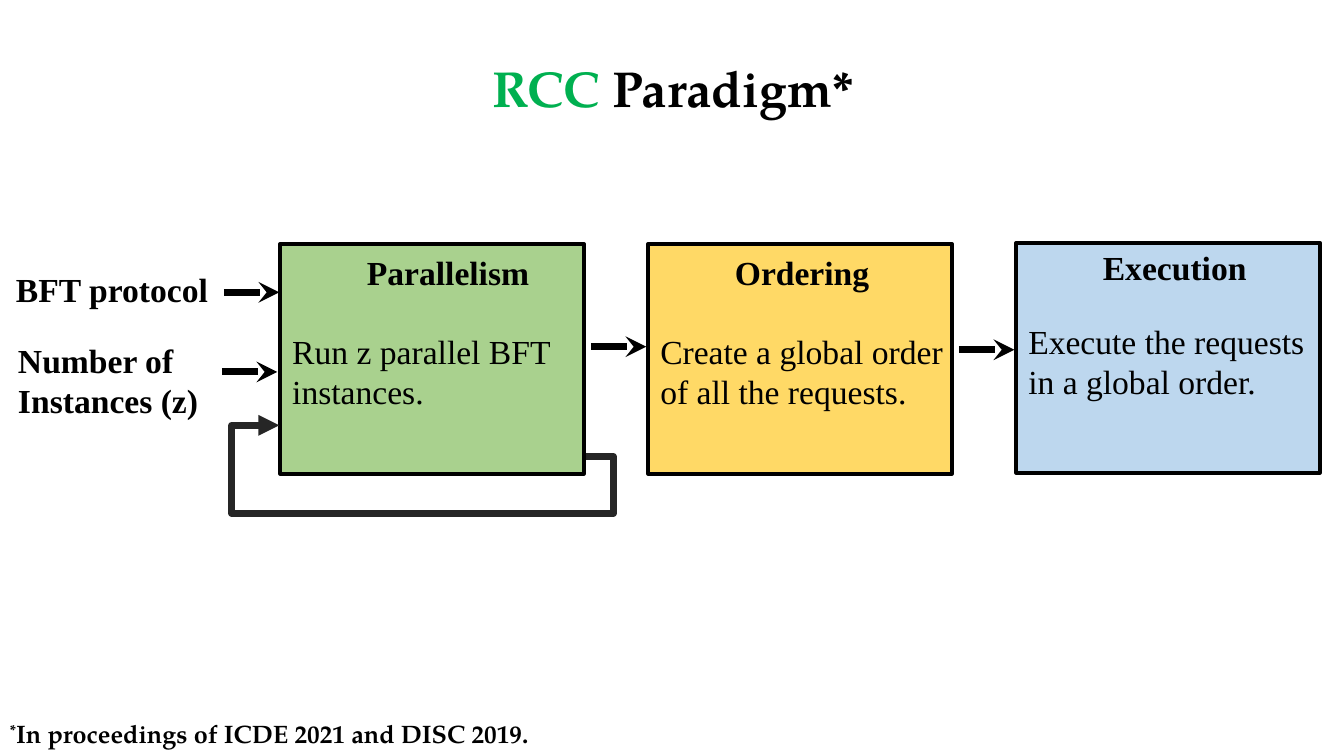
from dataclasses import dataclass

from lxml import etree
from pptx import Presentation
from pptx import util as u
from pptx.dml.color import RGBColor
from pptx.enum import shapes, text
from pptx.oxml.ns import qn


@dataclass(frozen=True)
class Theme:
    serif: str = "Times New Roman"
    display: str = "TeX Gyre Pagella"
    ink: str = "000000"
    accent: str = "00B050"
    loop: str = "262626"
    title: int = 36
    body: int = 24
    note: int = 18
    border: int = 3
    arrow: int = 5


T = Theme()
WIDTH, HEIGHT = 13.33, 7.5
STAGE_LEFT, STAGE_PITCH, STAGE_W, STAGE_H = 2.78, 3.65, 3.01, 2.28

# heading, heading width, body lines, body width, fill, top, heading offset, body offset
STAGES = [
    ("Parallelism", 1.83, "Run z parallel BFT\ninstances.", 2.93, "A9D18E", 2.42, 0.03, 0.81),
    ("Ordering", 1.55, "Create a global order\nof all the requests.", 3.11, "FFD966", 2.42, 0.03, 0.81),
    ("Execution", 1.64, "Execute the requests\nin a global order.", 3.05, "BDD7EE", 2.41, -0.01, 0.72),
]
# text, label box, arrow start
INPUTS = [
    ("BFT protocol", (0.06, 2.62, 2.12, 0.5), (2.22, 2.9)),
    ("Number of\nInstances (z)", (0.08, 3.32, 2.01, 0.91), (2.2, 3.69)),
]
STAGE_ARROWS = [(5.86, 3.44), (9.51, 3.47)]
ARROW_LENGTH = 0.55


def inches(*values):
    return [u.Inches(v) for v in values]


def style(r, size, font, bold=False, color=T.ink):
    r.font.size = u.Pt(size)
    r.font.name = font
    r.font.bold = bold
    r.font.color.rgb = RGBColor.from_string(color)


def add_label(s, words, box, bold=False):
    tf = s.shapes.add_textbox(*inches(*box)).text_frame
    tf.word_wrap = False
    tf.auto_size = text.MSO_AUTO_SIZE.SHAPE_TO_FIT_TEXT
    tf.text = words
    for p in tf.paragraphs:
        for r in p.runs:
            style(r, T.body, T.serif, bold)


def add_arrow(s, start, end, head="stealth", color=T.ink,
              kind=shapes.MSO_CONNECTOR.STRAIGHT):
    c = s.shapes.add_connector(kind, *inches(*start, *end))
    c.line.width = u.Pt(T.arrow)
    c.line.color.rgb = RGBColor.from_string(color)
    etree.SubElement(c.line._get_or_add_ln(), qn("a:tailEnd"), type=head)
    etree.SubElement(c._element.spPr, qn("a:effectLst"))
    return c


def add_title(s, box):
    sp = s.shapes.title
    sp.left, sp.top, sp.width, sp.height = inches(*box)
    tf = sp.text_frame
    tf.vertical_anchor = text.MSO_ANCHOR.MIDDLE
    p = tf.paragraphs[0]
    p.alignment = text.PP_ALIGN.CENTER
    p.line_spacing = 0.9
    for words, color in (("RCC", T.accent), (" Paradigm*", T.ink)):
        r = p.add_run()
        r.text = words
        style(r, T.title, T.display, True, color)


def add_stage(s, left, stage):
    heading, heading_w, body, body_w, fill, top, heading_dy, body_dy = stage
    sp = s.shapes.add_shape(shapes.MSO_SHAPE.RECTANGLE,
                            *inches(left, top, STAGE_W, STAGE_H))
    sp.shadow.inherit = False
    sp.fill.solid()
    sp.fill.fore_color.rgb = RGBColor.from_string(fill)
    sp.line.color.rgb = RGBColor.from_string(T.ink)
    sp.line.width = u.Pt(T.border)
    add_label(s, heading, (left + 0.76, top + heading_dy, heading_w, 0.5), True)
    add_label(s, body, (left + 0.02, top + body_dy, body_w, 0.91))


def add_loop(s, start, end):
    """Feedback arrow that leaves on the right, runs below the stage and re-enters on the left."""
    c = add_arrow(s, start, end, "triangle", T.loop, shapes.MSO_CONNECTOR.ELBOW)
    geom = c._element.spPr.find(qn("a:prstGeom"))
    geom.set("prst", "bentConnector5")
    guides = geom.find(qn("a:avLst"))
    for i, share in enumerate((-9000, -181500, 115500), 1):
        etree.SubElement(guides, qn("a:gd"), name=f"adj{i}", fmla=f"val {share}")


def add_footnote(s, box):
    tf = s.shapes.add_textbox(*inches(*box)).text_frame
    tf.word_wrap = True
    tf.vertical_anchor = text.MSO_ANCHOR.BOTTOM
    p = tf.paragraphs[0]
    p.line_spacing = 0.9
    for words in ("*", "In proceedings of ICDE 2021 and DISC 2019."):
        r = p.add_run()
        r.text = words
        style(r, T.note, T.display, True)
    p.runs[0].font._element.set("baseline", "30000")


def main():
    prs = Presentation()
    prs.slide_width, prs.slide_height = inches(WIDTH, HEIGHT)
    s = prs.slides.add_slide(prs.slide_layouts[5])
    add_title(s, (0.01, 0.58, WIDTH, 0.65))
    for i, stage in enumerate(STAGES):
        add_stage(s, STAGE_LEFT + i * STAGE_PITCH, stage)
    for words, box, _ in INPUTS:
        add_label(s, words, box, True)
    add_loop(s, (5.81, 4.53), (2.77, 4.22))
    for x, y in [start for _, _, start in INPUTS] + STAGE_ARROWS:
        add_arrow(s, (x, y), (x + ARROW_LENGTH, y))
    add_footnote(s, (0, 7.11, 5.36, 0.37))
    prs.save("out.pptx")


if __name__ == "__main__":
    main()
